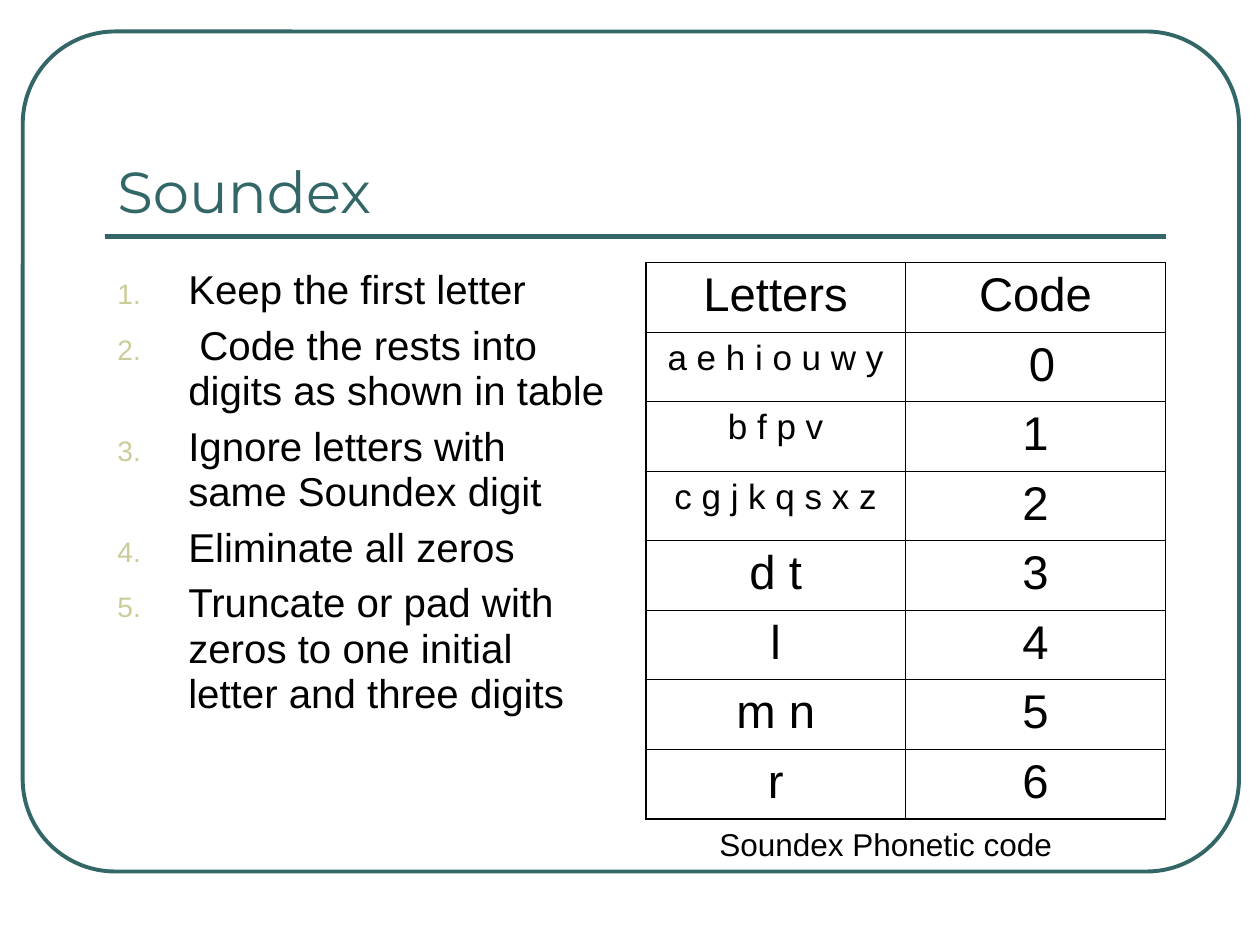
from lxml import etree
from pptx import Presentation
from pptx.dml.color import RGBColor
from pptx.enum.shapes import MSO_CONNECTOR, MSO_SHAPE
from pptx.enum.text import MSO_ANCHOR, PP_ALIGN
from pptx.oxml.ns import qn
from pptx.util import Pt

BLANK_LAYOUT = 6
STRAIGHT = MSO_CONNECTOR.STRAIGHT
ROUNDED = MSO_SHAPE.ROUNDED_RECTANGLE
TOP, BOTTOM = MSO_ANCHOR.TOP, MSO_ANCHOR.BOTTOM
LEFT, CENTER = PP_ALIGN.LEFT, PP_ALIGN.CENTER
TEAL, SAND, BLACK = "336666", "CCCC99", "000000"
OUTER_BORDER, INNER_BORDER = 1.08, 0.45

STEPS = [
    "Keep the first letter",
    " Code the rests into digits as shown in table",
    "Ignore letters with same Soundex digit",
    "Eliminate all zeros",
    "Truncate or pad with zeros to one initial letter and three digits",
]
CODES = [
    ("Letters", "Code"),
    ("a e h i o u w y", " 0"),
    ("b f p v", "1"),
    ("c g j k q s x z", "2"),
    ("d t", "3"),
    ("l", "4"),
    ("m n", "5"),
    ("r", "6"),
]


def color(value):
    """Return the colour for a hex string."""
    return RGBColor.from_string(value)


def write(paragraph, text, size, font="Arial", fill=BLACK, align=LEFT, before=0, spacing=1.0):
    """Put formatted text into a paragraph."""
    paragraph.alignment = align
    paragraph.line_spacing = spacing
    paragraph.space_before = Pt(before)
    run = paragraph.add_run()
    run.text = text
    run.font.size = Pt(size)
    run.font.name = font
    run.font.color.rgb = color(fill)


def add_text_frame(slide, box, anchor=TOP):
    """Add a wrapping text box and return its text frame."""
    text_frame = slide.shapes.add_textbox(*map(Pt, box)).text_frame
    text_frame.word_wrap = True
    text_frame.vertical_anchor = anchor
    return text_frame


def add_frame(slide, box):
    """Draw the rounded outline around the slide."""
    frame = slide.shapes.add_shape(ROUNDED, *map(Pt, box))
    frame.adjustments[0] = 0.11
    frame.shadow.inherit = False
    frame.fill.background()
    frame.line.color.rgb = color(TEAL)
    frame.line.width = Pt(2.25)


def add_title(slide, box, text):
    """Place the title with a rule just below its box."""
    left, top, width, height = box
    rule_top = top + height + 3
    rule = slide.shapes.add_connector(
        STRAIGHT, Pt(left), Pt(rule_top), Pt(left + width), Pt(rule_top))
    rule.line.color.rgb = color(TEAL)
    rule.line.width = Pt(3)
    etree.SubElement(rule._element.spPr, qn("a:effectLst"))
    text_frame = add_text_frame(slide, box, BOTTOM)
    write(text_frame.paragraphs[0], text, 33, font="Montserrat", fill=TEAL)


def number_paragraph(paragraph, indent):
    """Give a paragraph a coloured number and a hanging indent."""
    properties = paragraph._p.get_or_add_pPr()
    properties.set("marL", str(Pt(indent)))
    properties.set("indent", str(-Pt(indent)))
    bullet_color = etree.SubElement(properties, qn("a:buClr"))
    etree.SubElement(bullet_color, qn("a:srgbClr"), val=SAND)
    etree.SubElement(properties, qn("a:buSzPct"), val="70000")
    etree.SubElement(properties, qn("a:buFont"), typeface="Arial")
    etree.SubElement(properties, qn("a:buAutoNum"), type="arabicPeriod")


def add_steps(slide, box, steps):
    """Place the numbered steps."""
    text_frame = add_text_frame(slide, box)
    for index, step in enumerate(steps):
        paragraph = text_frame.add_paragraph() if index else text_frame.paragraphs[0]
        write(paragraph, step, 23, before=5.8, spacing=0.94)
        number_paragraph(paragraph, 40.5)


def set_borders(cell, is_outer):
    """Draw the cell borders, heavier on the table's outer sides."""
    properties = cell._tc.get_or_add_tcPr()
    for side in "LRTB":
        width = OUTER_BORDER if is_outer[side] else INNER_BORDER
        line = etree.SubElement(properties, qn(f"a:ln{side}"), w=str(Pt(width)))
        fill = etree.SubElement(line, qn("a:solidFill"))
        etree.SubElement(fill, qn("a:srgbClr"), val=BLACK)


def add_code_table(slide, box, rows, caption):
    """Place the code table with its caption centred below."""
    left, top, width, height = box
    row_count, column_count = len(rows), len(rows[0])
    table = slide.shapes.add_table(row_count, column_count, *map(Pt, box)).table
    table.first_row = table.horz_banding = False
    for row_index, row in enumerate(rows):
        table.rows[row_index].height = Pt(height / row_count)
        for column_index, text in enumerate(row):
            cell = table.cell(row_index, column_index)
            size = 20 if len(text) > 6 and row_index else 27
            write(cell.text_frame.paragraphs[0], text, size, align=CENTER, before=size / 4)
            set_borders(cell, {
                "L": column_index == 0,
                "R": column_index == column_count - 1,
                "T": row_index == 0,
                "B": row_index == row_count - 1,
            })
            cell.fill.background()
    caption_width = 223
    caption_left = left + (width - caption_width) / 2 - 2
    caption_frame = add_text_frame(slide, (caption_left, top + height, caption_width, 29))
    write(caption_frame.paragraphs[0], caption, 18)


def main():
    """Build and save the slide."""
    presentation = Presentation()
    presentation.slide_width, presentation.slide_height = Pt(720), Pt(540)
    slide = presentation.slides.add_slide(presentation.slide_layouts[BLANK_LAYOUT])
    add_frame(slide, (13, 18, 695, 480))
    add_title(slide, (60, 42, 606, 90), "Soundex")
    add_steps(slide, (60, 150, 297, 318), STEPS)
    add_code_table(slide, (369, 150, 297, 318), CODES, "Soundex Phonetic code")
    presentation.save("out.pptx")


if __name__ == "__main__":
    main()
